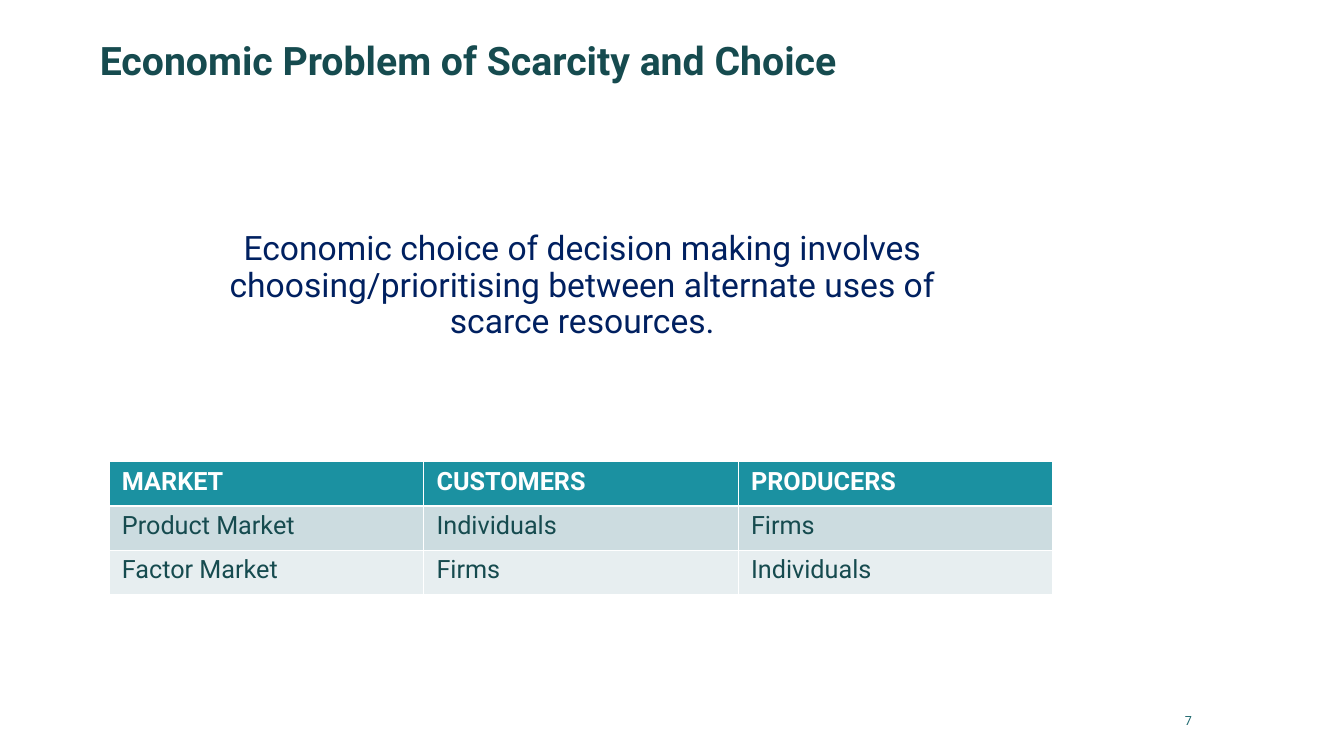
from lxml.etree import SubElement
from pptx import Presentation
from pptx.dml.color import RGBColor
from pptx.enum.text import MSO_ANCHOR as Anchor, MSO_AUTO_SIZE as AutoSize, PP_ALIGN as Align
from pptx.oxml.ns import qn
from pptx.util import Pt

EMU_PER_PX = 9144
FONT = "Roboto"
DARK_TEAL = "164B4F"
WHITE = "FFFFFF"
ROW_FILLS = ["1B91A1", "CCDCE0", "E7EEF0"]
THIN_RULE, HEADER_RULE = 0.45, 1.47
MARKETS = [
    ["MARKET", "CUSTOMERS", "PRODUCERS"],
    ["Product Market", "Individuals", "Firms"],
    ["Factor Market", "Firms", "Individuals"],
]


def px(length):
    return length * EMU_PER_PX


def color(hex_code):
    return RGBColor.from_string(hex_code)


def place(box, left, top, width, height):
    box.left, box.top, box.width, box.height = map(px, (left, top, width, height))


def set_margins(target, side, top, bottom):
    target.margin_left = target.margin_right = px(side)
    target.margin_top, target.margin_bottom = px(top), px(bottom)


def write(frame, text, size, hex_code, bold=False, align=Align.LEFT, spacing=1.0):
    paragraph = frame.paragraphs[0]
    paragraph.alignment = align
    paragraph.line_spacing = spacing
    paragraph.space_before = Pt(0)
    run = paragraph.add_run()
    run.text = text
    run.font.name = FONT
    run.font.size = Pt(size)
    run.font.bold = bold
    run.font.color.rgb = color(hex_code)


def prepare_frame(box, anchor, bottom=5):
    frame = box.text_frame
    frame.word_wrap = True
    frame.auto_size = AutoSize.NONE
    frame.vertical_anchor = anchor
    set_margins(frame, 10, 5, bottom)
    return frame


def add_border(cell, side, points):
    line = SubElement(cell._tc.get_or_add_tcPr(), qn(f"a:ln{side}"), w=str(Pt(points)))
    SubElement(SubElement(line, qn("a:solidFill")), qn("a:srgbClr"), val=WHITE)


def fill_cell(cell, text, row):
    set_margins(cell, 13, 5, 5)
    rules = {"L": THIN_RULE, "R": THIN_RULE,
             "T": HEADER_RULE if row == 1 else THIN_RULE,
             "B": HEADER_RULE if row == 0 else THIN_RULE}
    for side, points in rules.items():
        add_border(cell, side, points)
    cell.fill.solid()
    cell.fill.fore_color.rgb = color(ROW_FILLS[row])
    is_header = row == 0
    write(cell.text_frame, text, 18, WHITE if is_header else DARK_TEAL, bold=is_header)


def add_market_table(slide, left, top, column_width, row_height):
    rows, columns = len(MARKETS), len(MARKETS[0])
    table = slide.shapes.add_table(
        rows, columns, px(left), px(top),
        px(column_width * columns), px(row_height * rows)).table
    for row, labels in enumerate(MARKETS):
        for column, label in enumerate(labels):
            fill_cell(table.cell(row, column), label, row)


def add_page_number(slide, number):
    page_box = slide.shapes.add_textbox(px(881), px(695), px(311), px(40))
    write(prepare_frame(page_box, Anchor.MIDDLE), number, 9, "1F696F", align=Align.RIGHT)


def main():
    deck = Presentation()
    deck.slide_width, deck.slide_height = px(1333), px(750)
    slide = deck.slides.add_slide(deck.slide_layouts[0])

    title = slide.shapes.title
    place(title, 89, 25, 1066, 108)
    write(prepare_frame(title, Anchor.BOTTOM, bottom=50),
          "Economic Problem of Scarcity and Choice", 28, DARK_TEAL, bold=True, spacing=0.9)

    statement = slide.placeholders[1]
    place(statement, 200, 225, 755, 125)
    write(prepare_frame(statement, Anchor.TOP),
          "Economic choice of decision making involves choosing/prioritising "
          "between alternate uses of scarce resources.",
          24, "002060", align=Align.CENTER, spacing=0.9)

    add_page_number(slide, "7")
    add_market_table(slide, 108, 458, 312, 44)
    deck.save("out.pptx")


if __name__ == "__main__":
    main()
